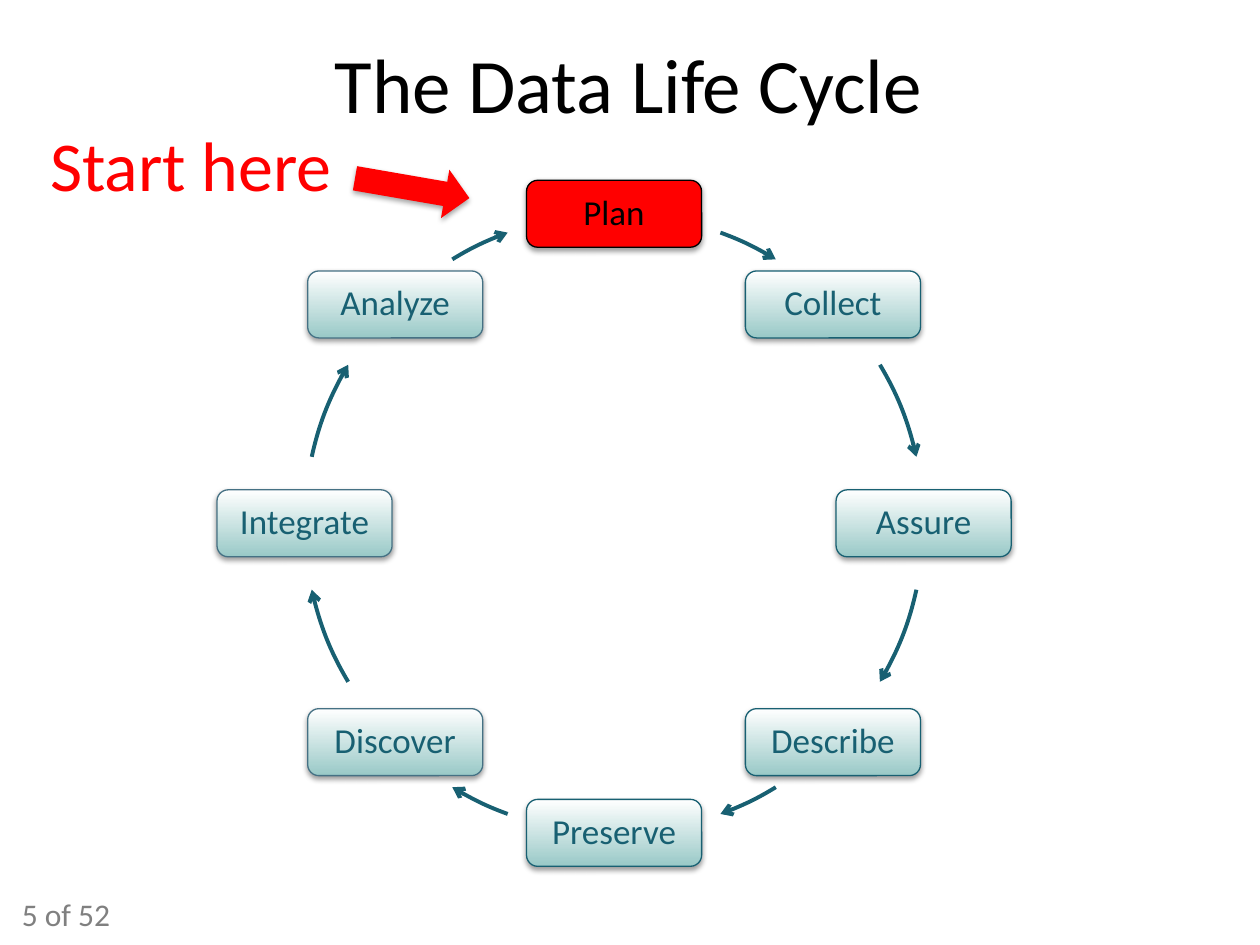
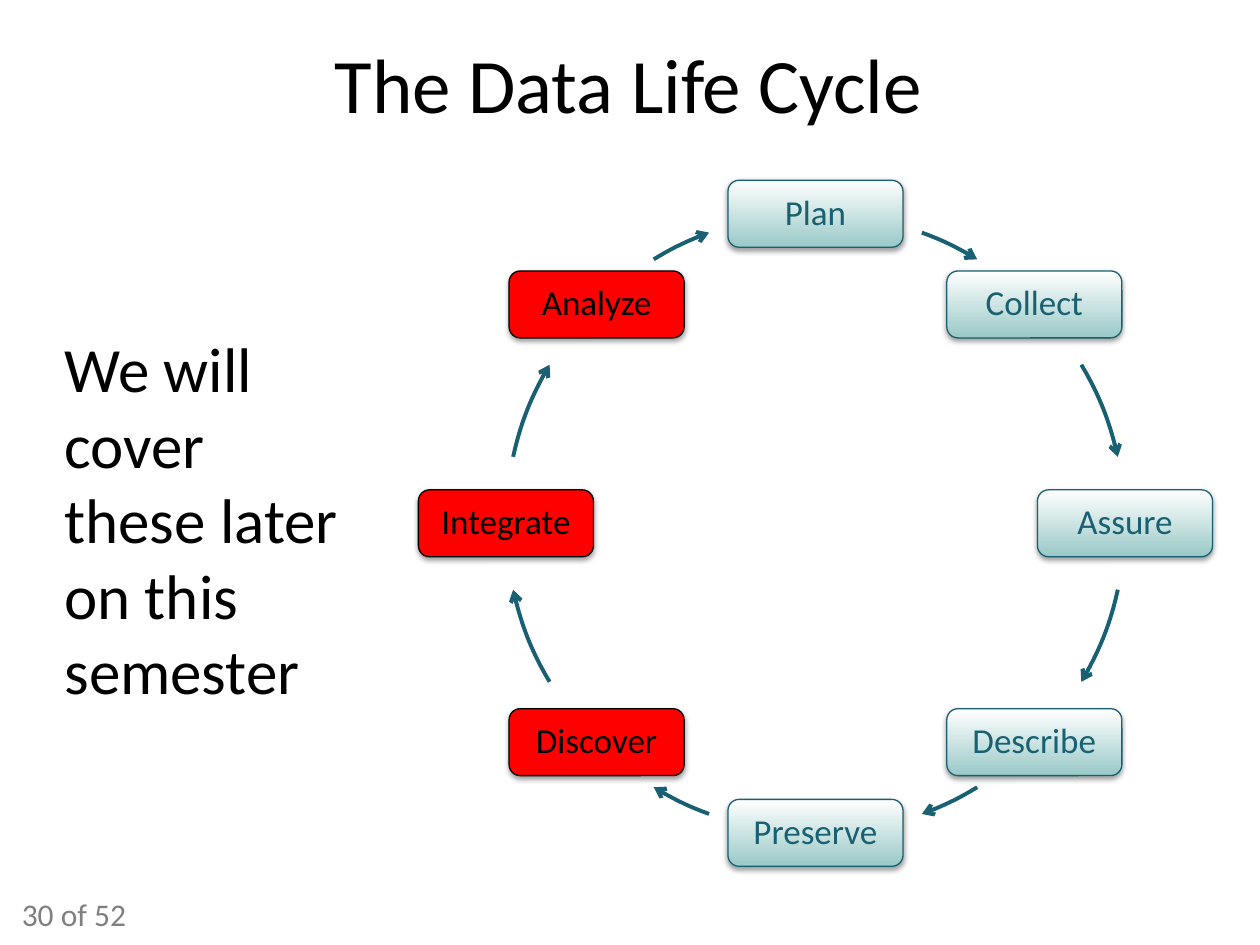
from dataclasses import dataclass
from math import cos, radians, sin, tan

from lxml.etree import SubElement
from pptx import Presentation
from pptx.dml.color import RGBColor
from pptx.enum.shapes import MSO_SHAPE
from pptx.enum.text import MSO_ANCHOR, PP_ALIGN
from pptx.oxml.ns import qn
from pptx.util import Cm, Pt

# Colours and fonts
BLACK = RGBColor(0, 0, 0)
WHITE = RGBColor(255, 255, 255)
RED = RGBColor(255, 0, 0)
GREY = RGBColor(0x80, 0x80, 0x80)
TEAL = RGBColor(0x18, 0x60, 0x72)
SLATE = RGBColor(0x45, 0x71, 0x84)
MINT = RGBColor(0x99, 0xC9, 0xC7)
FONT = "Calibri"

# Ring geometry: angles run clockwise from the top, in degrees
STEPS = ("Plan", "Collect", "Assure", "Describe",
         "Preserve", "Discover", "Integrate", "Analyze")
RADIUS = 6.24
MID = 10.55
BOX_W, BOX_H = 3.53, 1.35
QUARTER = ((20.1, 31.5), (59.2, 77.6))
HALF = QUARTER + tuple((180 - b, 180 - a) for a, b in reversed(QUARTER))
ARCS = HALF + tuple((a + 180, b + 180) for a, b in HALF)


@dataclass(frozen=True)
class Label:
    text: str
    left: float
    top: float
    width: float
    height: float
    size: int
    color: RGBColor = BLACK
    align: PP_ALIGN = PP_ALIGN.LEFT
    anchor: MSO_ANCHOR = MSO_ANCHOR.TOP
    wrap: bool = True


@dataclass(frozen=True)
class Page:
    number: int
    center: float
    marked: tuple[str, ...]
    note: Label
    pointer: bool = False


TITLE = Label("The Data Life Cycle", 0.76, 0.49, 23.83, 2.34, 44,
              align=PP_ALIGN.CENTER, anchor=MSO_ANCHOR.MIDDLE)
PAGES = (
    Page(5, 12.38, ("Plan",),
         Label("Start here", 0.76, 2.32, 6.3, 1.96, 40, RED, wrap=False),
         pointer=True),
    Page(30, 16.44, ("Discover", "Integrate", "Analyze"),
         Label("We will cover these later on this semester",
               1.05, 6.52, 6.45, 7.95, 36)),
)


def assign(target, values: dict) -> None:
    for name, value in values.items():
        setattr(target, name, value)


def write(shape, text: str, size: int, color: RGBColor, align, anchor, wrap=True):
    """Fill a shape with one styled paragraph and return it."""
    assign(shape.text_frame, {"word_wrap": wrap, "vertical_anchor": anchor})
    para = shape.text_frame.paragraphs[0]
    para.alignment = align
    run = para.add_run()
    run.text = text
    assign(run.font, {"name": FONT, "size": Pt(size)})
    run.font.color.rgb = color
    return para


def put(slide, label: Label) -> None:
    box = slide.shapes.add_textbox(Cm(label.left), Cm(label.top),
                                   Cm(label.width), Cm(label.height))
    write(box, label.text, label.size, label.color,
          label.align, label.anchor, label.wrap)


def shade(shape, alpha: int, dist: float) -> None:
    """Give a shape a soft black shadow straight below it."""
    shape.shadow.inherit = False
    effects = shape._element.spPr.find(qn("a:effectLst"))
    outer = SubElement(effects, qn("a:outerShdw"), blurRad=str(Pt(3.1)),
                       dist=str(Pt(dist)), dir="5400000", rotWithShape="0")
    tint = SubElement(outer, qn("a:srgbClr"), val=str(BLACK))
    SubElement(tint, qn("a:alpha"), val=str(alpha * 1000))


def locate(center: float, angle: float, shift: float = 0) -> tuple[float, float]:
    """Find a point on the ring, moved clockwise along its tangent by shift."""
    turn = radians(angle)
    return (center + RADIUS * sin(turn) + shift * cos(turn),
            MID - RADIUS * cos(turn) + shift * sin(turn))


def add_step(slide, center: float, index: int, name: str, marked: bool) -> None:
    x, y = locate(center, index * 360 / len(STEPS))
    box = slide.shapes.add_shape(MSO_SHAPE.ROUNDED_RECTANGLE,
                                 Cm(x - BOX_W / 2), Cm(y - BOX_H / 2),
                                 Cm(BOX_W), Cm(BOX_H))
    if marked:
        box.fill.solid()
        box.fill.fore_color.rgb = RED
        edge, ink = BLACK, BLACK
    else:
        box.fill.gradient()
        box.fill.gradient_angle = 270
        for stop, color, place in zip(box.fill.gradient_stops, (WHITE, MINT), (0, 1)):
            stop.color.rgb = color
            stop.position = place
        edge, ink = (SLATE if x < center - 1 else TEAL), TEAL
    box.line.color.rgb = edge
    box.line.width = Pt(0.75)
    shade(box, 38, 1.6)
    sides = ("left", "right", "top", "bottom")
    assign(box.text_frame, {f"margin_{side}": Cm(0.2) for side in sides})
    para = write(box, name, 20, ink, PP_ALIGN.CENTER, MSO_ANCHOR.MIDDLE)
    para.line_spacing = 0.9


def add_arc(slide, center: float, start: float, end: float) -> None:
    """Draw a curved arrow whose frame is the whole ring."""
    pull = RADIUS * 4 / 3 * tan(radians(end - start) / 4)
    low, high = ((center + d, MID + d) for d in (-RADIUS, RADIUS))
    curve = (locate(center, start), locate(center, start, pull),
             locate(center, end, -pull), locate(center, end))
    corner, far, first, *rest = [(Cm(x), Cm(y)) for x, y in (low, high, *curve)]
    form = slide.shapes.build_freeform(*corner)
    form.move_to(*far)
    form.move_to(*first)
    form.add_line_segments(rest, close=False)
    arc = form.convert_to_shape()

    # Drop the two frame corners and bend the line into one curve
    route = next(arc._element.iter(qn("a:path")))
    for move in route.findall(qn("a:moveTo"))[:2]:
        route.remove(move)
    bend = SubElement(route, qn("a:cubicBezTo"))
    for line in route.findall(qn("a:lnTo")):
        bend.append(line[0])
        route.remove(line)

    arc.shadow.inherit = False
    arc.fill.background()
    arc.line.color.rgb = TEAL
    arc.line.width = Pt(2.25)
    SubElement(arc.line._get_or_add_ln(), qn("a:tailEnd"), type="arrow")


def add_pointer(slide) -> None:
    arrow = slide.shapes.add_shape(MSO_SHAPE.RIGHT_ARROW,
                                   Cm(7.14), Cm(3.3), Cm(2.34), Cm(0.99))
    arrow.rotation = 9.8
    arrow.fill.solid()
    arrow.fill.fore_color.rgb = RED
    arrow.line.fill.background()
    shade(arrow, 35, 1.8)


def draw(deck, page: Page) -> None:
    slide = deck.slides.add_slide(deck.slide_layouts[6])
    # Page number and title
    put(slide, Label(f"{page.number} of 52", 0.19, 17.92, 2.92, 1.02, 18, GREY))
    put(slide, TITLE)
    # Cycle
    for index, (name, arc) in enumerate(zip(STEPS, ARCS)):
        add_step(slide, page.center, index, name, name in page.marked)
        add_arc(slide, page.center, *arc)
    # Side note
    put(slide, page.note)
    if page.pointer:
        add_pointer(slide)


def main() -> None:
    deck = Presentation()
    assign(deck, {"slide_width": Cm(25.4), "slide_height": Cm(19.05)})
    for page in PAGES:
        draw(deck, page)
    deck.save("out.pptx")


if __name__ == "__main__":
    main()
